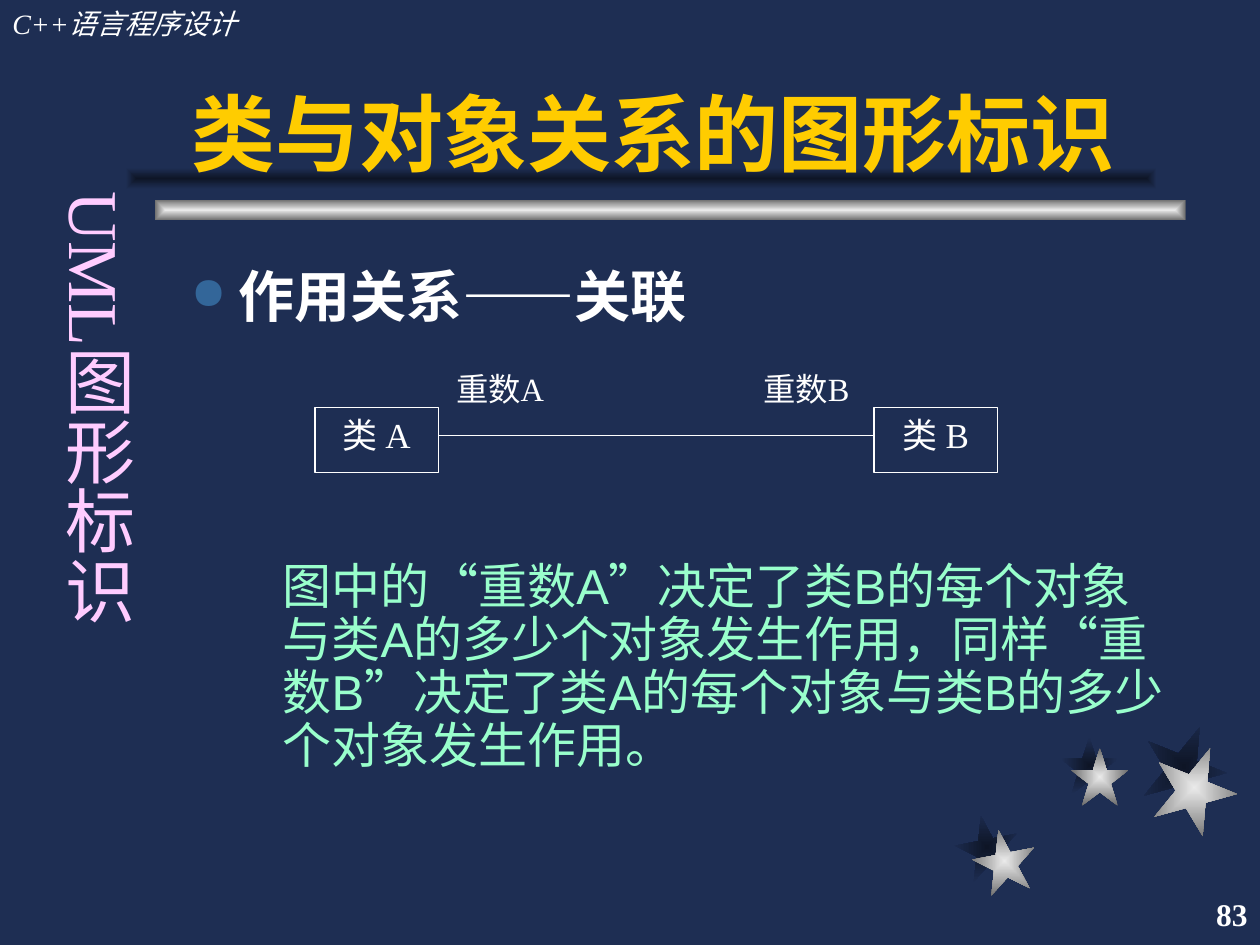
import pptx
import pptx.dml.color
import pptx.enum.shapes
import pptx.enum.text
import pptx.oxml
import pptx.oxml.ns
import pptx.util
import lxml.etree

Pt = pptx.util.Pt
RGBColor = pptx.dml.color.RGBColor
Align = pptx.enum.text.PP_ALIGN
Anchor = pptx.enum.text.MSO_ANCHOR
Shape = pptx.enum.shapes.MSO_SHAPE
qn = pptx.oxml.ns.qn

NAVY = RGBColor(0x1E, 0x2E, 0x53)
SHADOW = RGBColor(0x0E, 0x15, 0x26)
SILVER = RGBColor(0xEA, 0xEA, 0xEA)
GRAY = RGBColor(0x6C, 0x6C, 0x6C)
WHITE = RGBColor(0xFF, 0xFF, 0xFF)
GOLD = RGBColor(0xFF, 0xCC, 0x00)
BLUE = RGBColor(0x33, 0x66, 0x99)
MINT = RGBColor(0x99, 0xFF, 0xCC)
PINK = RGBColor(0xFF, 0xCC, 0xFF)
SERIF = "Times New Roman"
SANS = "Arial"


def format_paragraph(paragraph, text, size, color, name=SERIF, bold=False,
                     italic=False, align=Align.LEFT, spacing=1.0):
    paragraph.text = text
    paragraph.alignment = align
    paragraph.line_spacing = spacing
    paragraph.space_before = Pt(0)
    font = paragraph.font
    font.size, font.name = Pt(size), name
    font.bold, font.italic = bold, italic
    font.color.rgb = color


def add_text(slide, box, text, size, color, anchor=Anchor.TOP, **style):
    shape = slide.shapes.add_textbox(*map(Pt, box))
    frame = shape.text_frame
    frame.word_wrap = True
    frame.vertical_anchor = anchor
    format_paragraph(frame.paragraphs[0], text, size, color, **style)
    return shape


def add_glowing_shape(slide, kind, box, center, edge, rotation=0):
    shape = slide.shapes.add_shape(kind, *map(Pt, box))
    shape.shadow.inherit = False
    shape.rotation = rotation
    shape.line.fill.background()
    shape.fill.gradient()
    stops = shape.fill.gradient_stops
    for stop, position, color in zip(stops, (0, 1), (center, edge)):
        stop.position = position
        stop.color.rgb = color
    gradient = shape._element.spPr.find(qn("a:gradFill"))
    linear = gradient.find(qn("a:lin"))
    if linear is not None:
        gradient.remove(linear)
    path = lxml.etree.Element(qn("a:path"), path="rect")
    lxml.etree.SubElement(path, qn("a:fillToRect"), l="50000", t="50000",
                          r="50000", b="50000")
    gradient.find(qn("a:gsLst")).addnext(path)


def add_stars(slide, left, top):
    stars = [(0, 52, 36, 349, 10, 8), (60, 7, 33, 0, 6, 6.5),
             (106.5, 0, 48, 22, 6, 12)]
    for x, y, size, rotation, _, _ in stars:
        add_glowing_shape(slide, Shape.STAR_5_POINT,
                          (left + x, top + y, size, size), SHADOW, NAVY, rotation)
    for x, y, size, rotation, shift_x, shift_y in stars:
        add_glowing_shape(slide, Shape.STAR_5_POINT,
                          (left + x + shift_x, top + y + shift_y, size, size),
                          SILVER, GRAY, rotation)


def add_title_bars(slide, left, top, width, height):
    add_glowing_shape(slide, Shape.RECTANGLE,
                      (left + 16.5, top + 18, width, height), SILVER, GRAY)
    add_glowing_shape(slide, Shape.RECTANGLE,
                      (left, top, width, height), SHADOW, NAVY)


def place_title(slide, left, top, width, height):
    title = slide.shapes.title
    slide.shapes._spTree.append(title._element)
    title.left, title.top, title.width, title.height = map(
        Pt, (left, top, width, height))
    title.text_frame.word_wrap = True
    title.text_frame.auto_size = pptx.enum.text.MSO_AUTO_SIZE.NONE
    title.text_frame.vertical_anchor = Anchor.BOTTOM
    format_paragraph(title.text_frame.paragraphs[0], "类与对象关系的图形标识",
                     48, GOLD, name=SANS, bold=True)


def add_body(slide, left, top, width, height):
    shape = add_text(slide, (left, top, width, height), "作用关系——关联", 32,
                     WHITE, name=SANS, bold=True, spacing=0.9)
    heading = shape.text_frame.paragraphs[0]._p.get_or_add_pPr()
    heading.set("marL", str(Pt(27)))
    heading.set("indent", str(Pt(-27)))
    color = lxml.etree.Element(qn("a:buClr"))
    lxml.etree.SubElement(color, qn("a:srgbClr"), val=str(BLUE))
    bullet = [color, lxml.etree.Element(qn("a:buSzPct"), val="80000"),
              lxml.etree.Element(qn("a:buChar"), char="●")]
    position = list(heading).index(heading.find(qn("a:spcBef"))) + 1
    heading[position:position] = bullet

    explanation = shape.text_frame.add_paragraph()
    format_paragraph(
        explanation,
        "图中的“重数A”决定了类B的每个对象与类A的多少个对象发生作用，"
        "同样“重数B”决定了类A的每个对象与类B的多少个对象发生作用。",
        28, MINT, name=SANS, spacing=0.9)
    explanation.space_before = Pt(133)
    explanation._p.get_or_add_pPr().set("marL", str(Pt(52.5)))


def add_association(slide, left, top, width):
    class_width, class_height = 70.5, 37
    class_top = top + 23
    right = left + width - class_width
    for x, label_x, letter in ((left, left + 73.5, "A"),
                               (right, right - class_width, "B")):
        shape = slide.shapes.add_shape(
            Shape.RECTANGLE, *map(Pt, (x, class_top, class_width, class_height)))
        shape.shadow.inherit = False
        shape.fill.background()
        shape.line.color.rgb = WHITE
        shape.line.width = Pt(0.75)
        shape.text_frame.vertical_anchor = Anchor.TOP
        format_paragraph(shape.text_frame.paragraphs[0], f"类 {letter}", 20,
                         WHITE, align=Align.CENTER)
        add_text(slide, (label_x, top, class_width, 39), f"重数{letter}", 18.5,
                 WHITE, align=Align.JUSTIFY, spacing=0.9)
    line_top = Pt(class_top + 16)
    line = slide.shapes.add_connector(
        pptx.enum.shapes.MSO_CONNECTOR.STRAIGHT,
        Pt(left + class_width), line_top, Pt(right), line_top)
    line.line.color.rgb = WHITE
    line.line.width = Pt(0.75)
    lxml.etree.SubElement(line._element.spPr, qn("a:effectLst"))


def add_side_heading(slide, left, top, width, height):
    shape = add_text(slide, (left, top, width, height), "UML图形标识", 40, PINK,
                     align=Align.CENTER)
    frame = shape.text_frame
    frame.margin_left = frame.margin_right = Pt(3.6)
    frame.margin_top = frame.margin_bottom = Pt(7.2)
    frame._txBody.bodyPr.set("vert", "eaVert")


def main():
    presentation = pptx.Presentation()
    presentation.slide_width, presentation.slide_height = Pt(720), Pt(540)
    slide = presentation.slides.add_slide(presentation.slide_layouts[5])
    slide.background.fill.solid()
    slide.background.fill.fore_color.rgb = NAVY

    add_stars(slide, 546, 414)
    add_title_bars(slide, 72, 96, 589, 12)
    add_text(slide, (0, 0, 222, 26.5), "C++语言程序设计", 16, WHITE, italic=True)
    add_text(slide, (570, 504, 150, 36), "83", 18, WHITE, bold=True,
             align=Align.RIGHT, anchor=Anchor.MIDDLE)
    place_title(slide, 102, 18, 564, 90)
    add_body(slide, 102, 150, 570, 324)
    add_association(slide, 180, 210, 390)
    add_side_heading(slide, 21.5, 102, 62, 372)
    presentation.save("out.pptx")


if __name__ == "__main__":
    main()
